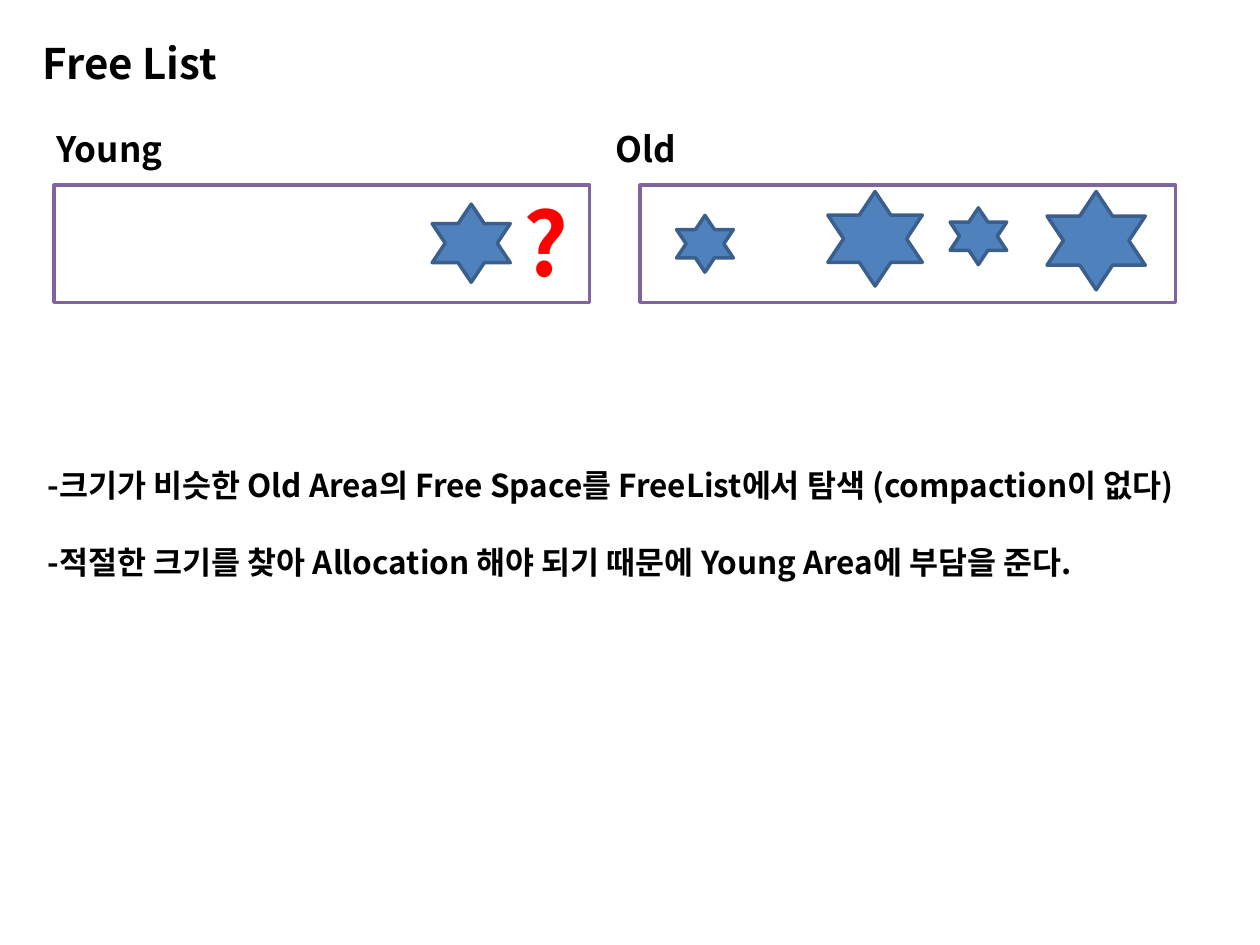
"""Build the Free List slide: young and old heap areas with their objects, and two notes."""
from lxml import etree
from pptx import Presentation
from pptx.dml.color import RGBColor
from pptx.enum.shapes import MSO_SHAPE
from pptx.enum.text import MSO_ANCHOR, MSO_AUTO_SIZE, PP_ALIGN
from pptx.oxml.ns import qn
from pptx.util import Inches, Pt

RECT, STAR = MSO_SHAPE.RECTANGLE, MSO_SHAPE.STAR_6_POINT
MIDDLE, LEFT, NO_FIT = MSO_ANCHOR.MIDDLE, PP_ALIGN.LEFT, MSO_AUTO_SIZE.NONE
FONT = "Noto Sans CJK KR"
LINE = Pt(22)

prs = Presentation()
prs.slide_width, prs.slide_height = Inches(10), Inches(7.5)
COL, ROW = prs.slide_width / 100, prs.slide_height / 75
s = prs.slides.add_slide(prs.slide_layouts[1])


def grid(left, top, width, height):
    return [int(left * COL), int(top * ROW), int(width * COL), int(height * ROW)]


def write(sp, box, lines, size, color="000000"):
    sp.left, sp.top, sp.width, sp.height = grid(*box)
    tf = sp.text_frame
    for name, value in {"word_wrap": True, "auto_size": NO_FIT, "vertical_anchor": MIDDLE}.items():
        setattr(tf, name, value)
    for i, line in enumerate(lines):
        p = tf.paragraphs[0] if i == 0 else tf.add_paragraph()
        p.alignment = LEFT
        r = p.add_run()
        r.text = line
        for name, value in {"name": FONT, "size": Pt(size), "bold": True}.items():
            setattr(r.font, name, value)
        r.font.color.rgb = RGBColor.from_string(color)
        latin = r.font._element.find(qn("a:latin"))
        ea = etree.Element(qn("a:ea"), typeface=FONT)
        latin.addnext(ea)
    return tf


write(s.shapes.title, (2.4, 2.4, 96.5, 5.2), ["Free List"], 24)

notes = [
    "-크기가 비슷한 Old Area의 Free Space를 FreeList에서 탐색 (compaction이 없다)",
    "-적절한 크기를 찾아 Allocation 해야 되기 때문에 Young Area에 부담을 준다.",
]
tf = write(s.placeholders[1], (2.8, 29.6, 94.9, 26.9), notes, 18)
tf.margin_bottom = int(3.5 * ROW)
for i, p in enumerate(tf.paragraphs):
    p.line_spacing, p.space_before = LINE, LINE * i
    pPr = p._p.get_or_add_pPr()
    pPr.set("marL", "0")
    pPr.set("indent", "0")
    etree.SubElement(pPr, qn("a:buNone"))

areas = [(RECT, left, 14.7, 42.5, 9.3, "FFFFFF", "8064A2") for left in (4.3, 50.8)]
stars = [(34.3, 16.2, 6.2), (53.7, 17.1, 4.5), (65.7, 15.2, 7.5), (75.4, 16.5, 4.5), (83.1, 15.2, 7.8)]
objects = [(STAR, left, top, size, size, "4F81BD", "3A5F8C") for left, top, size in stars]
for kind, left, top, width, height, fill, line in areas + objects:
    sp = s.shapes.add_shape(kind, *grid(left, top, width, height))
    sp.shadow.inherit = False
    sp.fill.solid()
    sp.fill.fore_color.rgb = RGBColor.from_string(fill)
    sp.line.color.rgb = RGBColor.from_string(line)
    sp.line.width = Pt(2)

labels = [
    ("Young", (3.5, 9.2, 44.4, 5.2), 20, "000000"),
    ("Old", (47.9, 9.2, 48.5, 5.2), 20, "000000"),
    ("?", (40.6, 16, 7.1, 6.4), 50, "FF0000"),
]
for text, box, size, color in labels:
    write(s.shapes.add_textbox(0, 0, 0, 0), box, [text], size, color)

prs.save("out.pptx")
